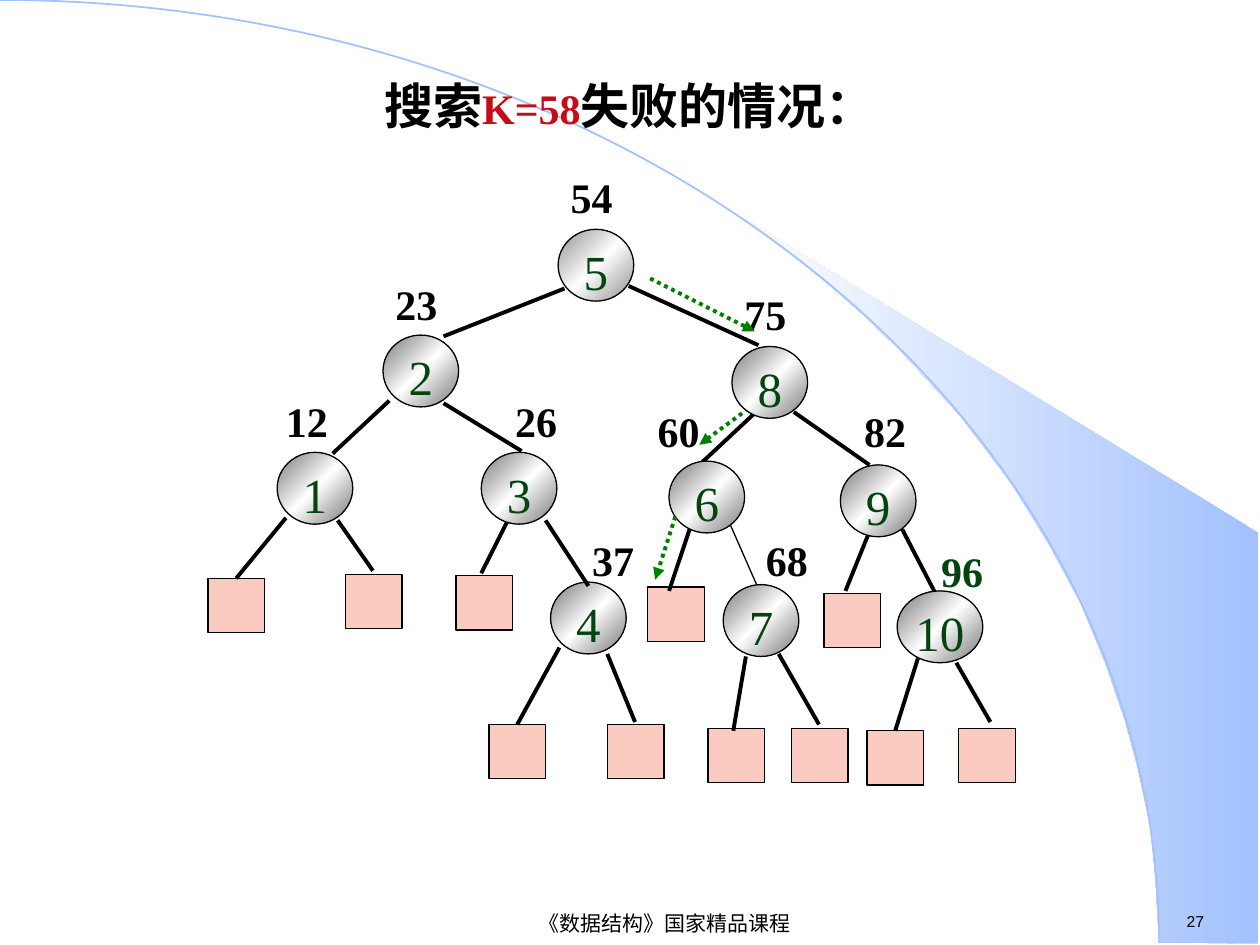
from dataclasses import dataclass
from typing import Optional

from lxml import etree
from pptx import Presentation
from pptx.dml.color import RGBColor
from pptx.enum.dml import MSO_LINE
from pptx.enum.shapes import MSO_CONNECTOR, MSO_SHAPE
from pptx.enum.text import MSO_ANCHOR, PP_ALIGN
from pptx.oxml.ns import qn
from pptx.util import Inches, Pt

STRAIGHT = MSO_CONNECTOR.STRAIGHT
OVAL, RECTANGLE, ARC = MSO_SHAPE.OVAL, MSO_SHAPE.RECTANGLE, MSO_SHAPE.ARC
DOTTED = MSO_LINE.ROUND_DOT
LEFT, CENTER = PP_ALIGN.LEFT, PP_ALIGN.CENTER
TOP, MIDDLE = MSO_ANCHOR.TOP, MSO_ANCHOR.MIDDLE
TITLE_ONLY = 5
TOP_SIDE = 0
SERIF, SANS = "Times New Roman", "Arial"

COLORS = {
    "black": "000000", "white": "FFFFFF", "sweep": "A2C1FE", "sweep_end": "FEFEFE",
    "node": "757575", "root": "8F8F8F", "digit": "04440F", "leaf": "FBCBC1",
    "key": "C60C19", "path": "008000",
}


@dataclass
class Node:
    number: int
    left: float
    top: float
    key: str
    key_left: float
    key_top: float
    width: float = 0.6
    edge_color: str = "node"
    key_color: str = "black"


@dataclass
class Edge:
    start: tuple[float, float]
    end: tuple[float, float]
    weight: float = 2.25
    leaf: Optional[int] = None


NODES = [
    Node(4, 4.37, 4.62, "37", 4.6, 4.19),
    Node(5, 4.43, 1.82, "54", 4.43, 1.31, edge_color="root"),
    Node(2, 3.04, 2.66, "23", 3.04, 2.16),
    Node(8, 5.81, 2.75, "75", 5.81, 2.24),
    Node(1, 2.2, 3.59, "12", 2.17, 3.09),
    Node(3, 3.82, 3.59, "26", 3.99, 3.09),
    Node(6, 5.31, 3.66, "60", 5.12, 3.17),
    Node(9, 6.67, 3.69, "82", 6.76, 3.17),
    Node(7, 5.74, 4.64, "68", 5.98, 4.19),
    Node(10, 7.12, 4.69, "96", 7.37, 4.28, width=0.68, key_color="digit"),
]
LEAVES = [
    (1.65, 4.59), (2.74, 4.56), (3.62, 4.57), (5.14, 4.66), (6.54, 4.71), (3.88, 5.75),
    (4.82, 5.75), (5.62, 5.78), (6.28, 5.78), (6.88, 5.8), (7.61, 5.78),
]
EDGES = [
    Edge((4.99, 2.27), (6.02, 2.74)), Edge((4.48, 2.29), (3.52, 2.67)),
    Edge((3.09, 3.18), (2.64, 3.6)), Edge((3.52, 3.2), (4.14, 3.58)),
    Edge((6, 3.27), (5.55, 3.69)), Edge((6.3, 3.27), (6.9, 3.69)),
    Edge((2.27, 4.11), (1.88, 4.6), leaf=0), Edge((2.68, 4.13), (2.96, 4.53)),
    Edge((4.03, 4.13), (3.82, 4.55)), Edge((4.33, 4.13), (4.67, 4.65)),
    Edge((5.48, 4.18), (5.31, 4.69)), Edge((5.79, 4.15), (6.04, 4.72), weight=0.75),
    Edge((6.9, 4.22), (6.71, 4.69)), Edge((7.16, 4.2), (7.44, 4.74)),
    Edge((4.44, 5.14), (4.11, 5.75), leaf=5), Edge((4.82, 5.19), (5.04, 5.73)),
    Edge((5.92, 5.21), (5.82, 5.8)), Edge((6.18, 5.19), (6.5, 5.75)),
    Edge((7.29, 5.21), (7.11, 5.8), leaf=9), Edge((7.59, 5.26), (7.86, 5.73)),
]
SEARCH_PATH = [
    Edge((5.16, 2.21), (5.99, 2.63)),
    Edge((5.89, 3.28), (5.55, 3.53)),
    Edge((5.36, 4.1), (5.2, 4.6)),
]
SWEEP = [
    (9.2, 7.48), (9.99, 7.49), (9.99, 4.23), (5.89, 1.73), (6.24, 1.99), (6.53, 2.22),
    (6.85, 2.5), (7.16, 2.8), (7.62, 3.3), (8.03, 3.84), (8.32, 4.31), (8.58, 4.79),
    (8.78, 5.28), (8.93, 5.72), (9.03, 6.09), (9.13, 6.56), (9.17, 6.96),
]


def color(name: str) -> RGBColor:
    return RGBColor.from_string(COLORS[name])


def style_font(font, size: float, name: str = SERIF, tint: str = "black", bold: bool = False) -> None:
    font.size, font.name, font.bold = Pt(size), name, bold
    font.color.rgb = color(tint)


def fill_gradient(shape, names: list[str], clockwise: int) -> None:
    shape.fill.gradient()
    shape.fill.gradient_angle = 360 - clockwise
    stops = shape._element.spPr.find(qn("a:gradFill")).find(qn("a:gsLst"))
    for stop in list(stops):
        stops.remove(stop)
    for index, name in enumerate(names):
        position = str(100000 * index // (len(names) - 1))
        stop = etree.SubElement(stops, qn("a:gs"), pos=position)
        etree.SubElement(stop, qn("a:srgbClr"), val=COLORS[name])


def add_outlined(page, kind, left: float, top: float, width: float, height: float,
                 tint: str = "black", weight: float = 0.75):
    shape = page.shapes.add_shape(kind, Inches(left), Inches(top), Inches(width), Inches(height))
    shape.shadow.inherit = False
    shape.line.color.rgb = color(tint)
    shape.line.width = Pt(weight)
    return shape


def add_text(page, text: str, left: float, top: float, width: float, height: float, size: float,
             name: str = SERIF, tint: str = "black", bold: bool = False,
             align=LEFT, anchor=TOP) -> None:
    box = page.shapes.add_textbox(Inches(left), Inches(top), Inches(width), Inches(height))
    frame = box.text_frame
    frame.word_wrap = True
    frame.vertical_anchor = anchor
    para = frame.paragraphs[0]
    para.text, para.alignment = text, align
    style_font(para.font, size, name, tint, bold)


def add_background(page) -> None:
    points = [(Inches(x), Inches(y)) for x, y in SWEEP]
    builder = page.shapes.build_freeform(*points[0])
    builder.add_line_segments(points[1:], close=True)
    sweep = builder.convert_to_shape()
    sweep.shadow.inherit = False
    sweep.line.fill.background()
    fill_gradient(sweep, ["sweep", "sweep_end"], 180)
    arc = add_outlined(page, ARC, -9.2, 0, 18.4, 14.97, "sweep", 1)
    arc.fill.background()


def add_title(page) -> None:
    title = page.shapes.title
    title.left, title.top, title.width, title.height = (Inches(n) for n in (0.16, 0.6, 9.67, 0.55))
    title.text_frame.vertical_anchor = TOP
    para = title.text_frame.paragraphs[0]
    para.alignment, para.line_spacing, para.space_before = CENTER, 0.9, Pt(0)
    for text, size, tint in (("搜索", 28, "black"), ("K=58", 24, "key"), ("失败的情况：", 28, "black")):
        span = para.add_run()
        span.text = text
        style_font(span.font, size, tint=tint, bold=True)
    page.shapes._spTree.append(title._element)


def add_node(page, node: Node) -> None:
    circle = add_outlined(page, OVAL, node.left, node.top, node.width, 0.57)
    fill_gradient(circle, [node.edge_color, "white", node.edge_color], 225)
    frame = circle.text_frame
    frame.margin_left = frame.margin_right = Inches(0.02)
    frame.margin_top = frame.margin_bottom = Inches(0.01)
    frame.vertical_anchor = TOP
    para = frame.paragraphs[0]
    para.text, para.alignment = str(node.number), CENTER
    style_font(para.font, 28, tint="digit")


def add_leaf(page, left: float, top: float):
    leaf = add_outlined(page, RECTANGLE, left, top, 0.45, 0.43)
    leaf.fill.solid()
    leaf.fill.fore_color.rgb = color("leaf")
    return leaf


def add_edge(page, edge: Edge, tint: str = "black"):
    line = page.shapes.add_connector(STRAIGHT, *(Inches(n) for n in edge.start + edge.end))
    line.line.color.rgb = color(tint)
    line.line.width = Pt(edge.weight)
    etree.SubElement(line._element.spPr, qn("a:effectLst"))
    return line


def add_search_arrow(page, edge: Edge) -> None:
    arrow = add_edge(page, edge, "path")
    arrow.line.dash_style = DOTTED
    etree.SubElement(arrow.line._get_or_add_ln(), qn("a:tailEnd"), type="triangle")


def main() -> None:
    deck = Presentation()
    deck.slide_width, deck.slide_height = Inches(10), Inches(7.5)
    page = deck.slides.add_slide(deck.slide_layouts[TITLE_ONLY])
    add_background(page)
    add_text(page, "27", 9.32, 7.19, 0.77, 0.25, 9, SANS)
    add_text(page, "《数据结构》国家精品课程", 2.4, 7.21, 5.75, 0.24, 12, SANS, align=CENTER, anchor=MIDDLE)
    add_title(page)
    add_node(page, NODES[0])
    leaves = [add_leaf(page, left, top) for left, top in LEAVES]
    for edge in EDGES:
        line = add_edge(page, edge)
        if edge.leaf is not None:
            line.end_connect(leaves[edge.leaf], TOP_SIDE)
    for node in NODES[1:]:
        add_node(page, node)
    for node in NODES:
        add_text(page, node.key, node.key_left, node.key_top, 0.61, 0.5, 24, tint=node.key_color, bold=True)
    for edge in SEARCH_PATH:
        add_search_arrow(page, edge)
    deck.save("out.pptx")


if __name__ == "__main__":
    main()
